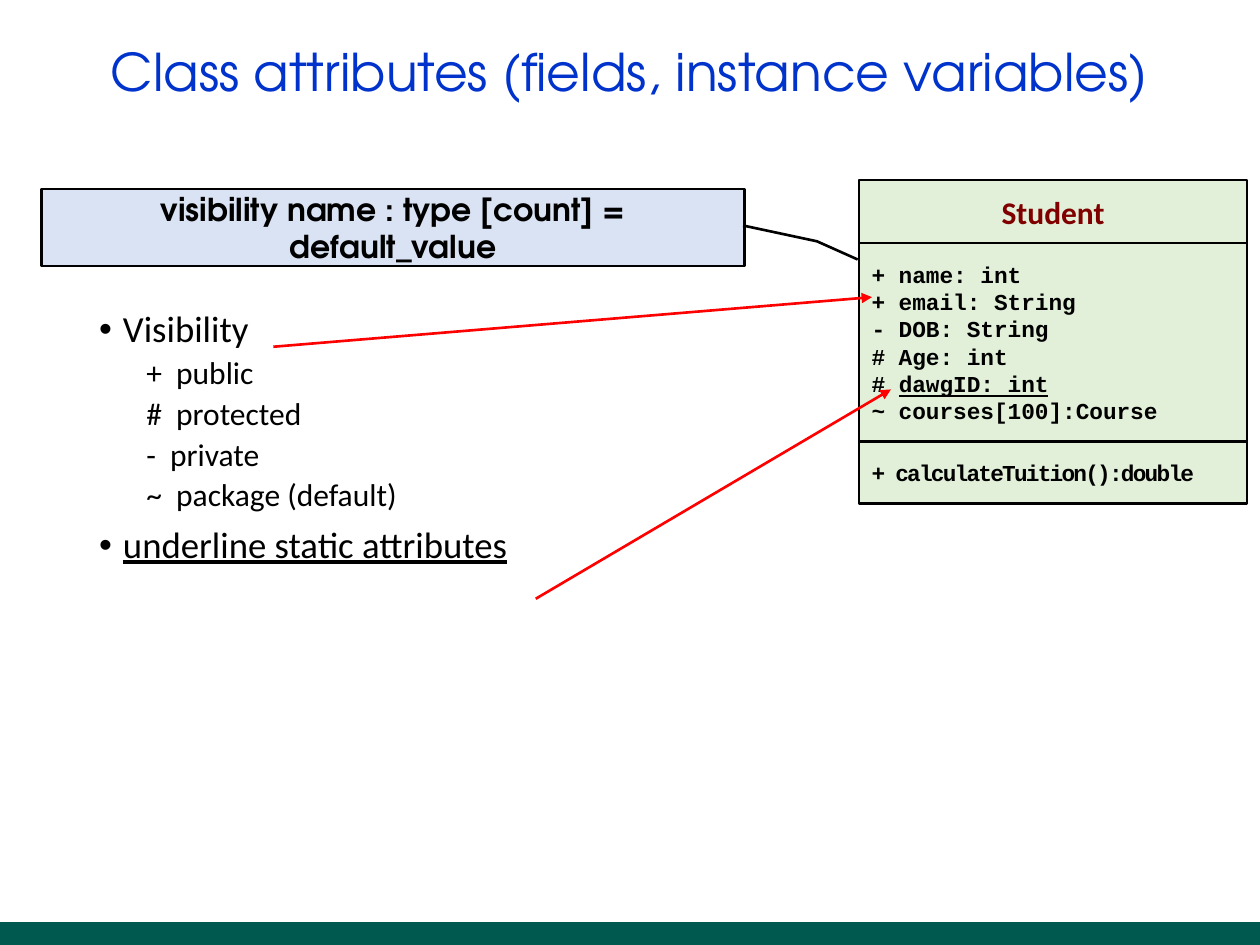
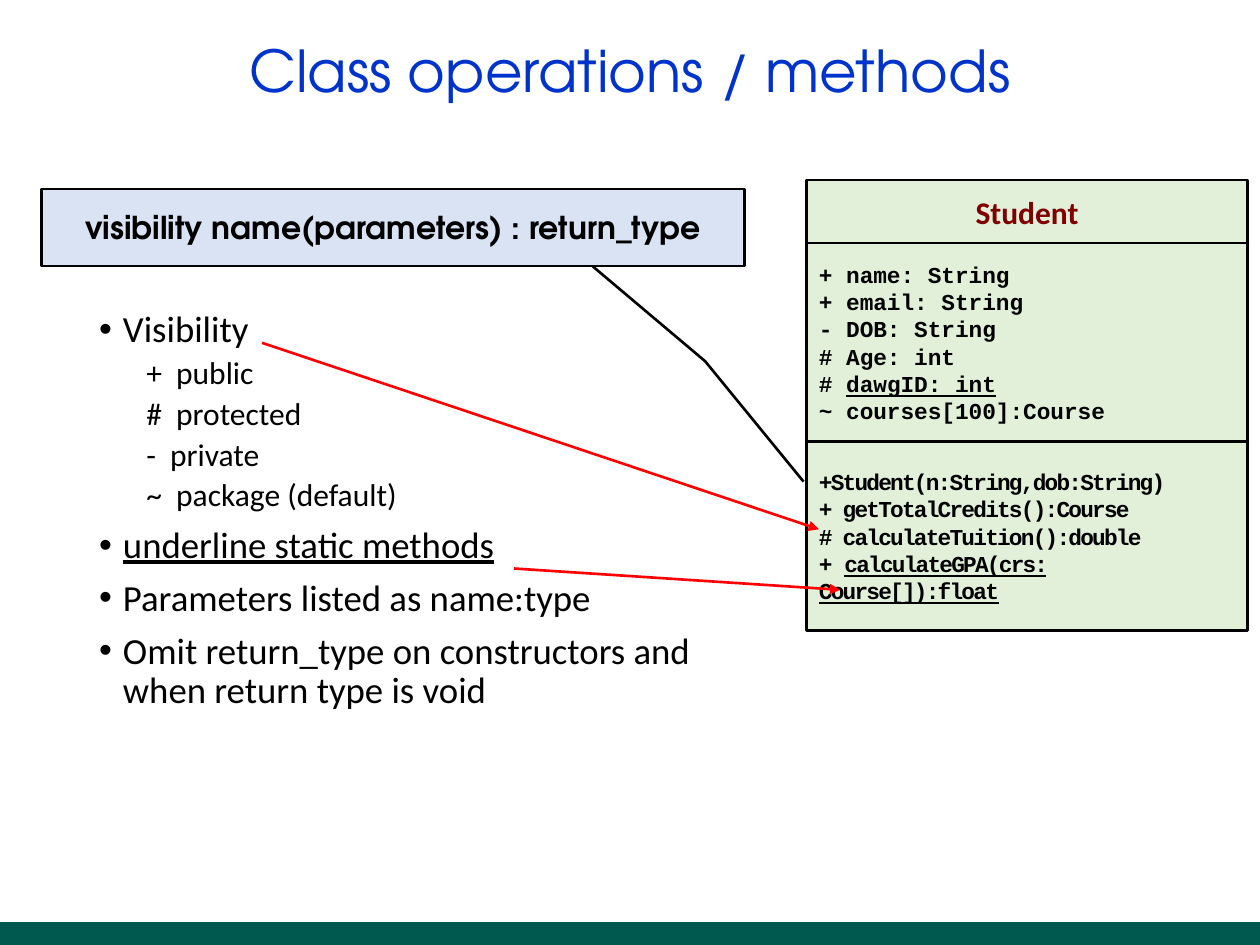
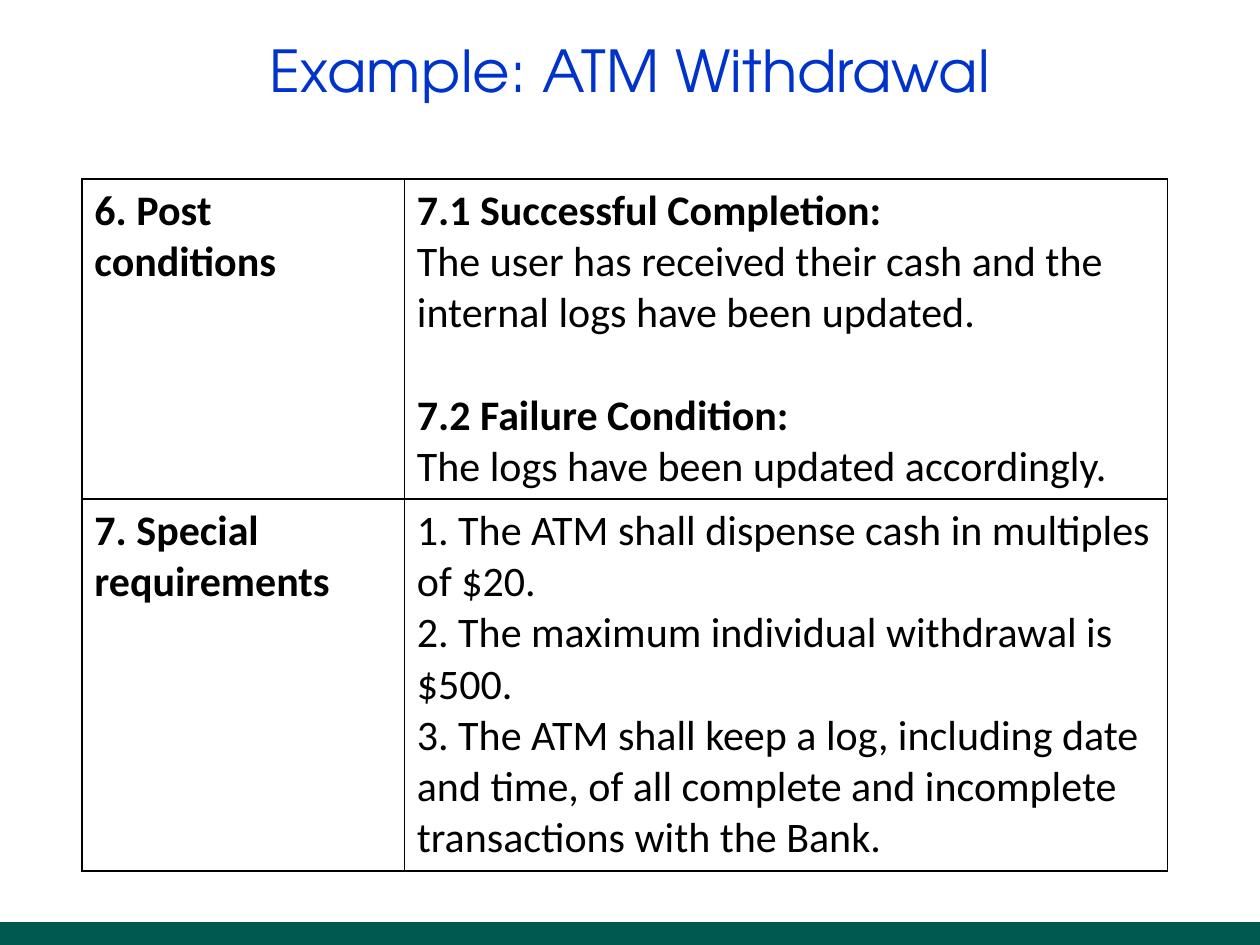
from dataclasses import dataclass

from lxml.etree import SubElement
from pptx import Presentation
from pptx.dml.color import RGBColor
from pptx.enum.shapes import MSO_CONNECTOR as Connector, MSO_SHAPE as Preset
from pptx.enum.text import MSO_ANCHOR as Anchor, MSO_AUTO_SIZE as AutoSize, PP_ALIGN as Align
from pptx.oxml.ns import qn
from pptx.util import Cm, Pt


# Shared look
@dataclass(frozen=True)
class Theme:
    band: str = "00594F"
    title: str = "0033CC"
    text: str = "000000"
    class_name: str = "800000"
    class_fill: str = "E2F0D9"
    callout_fill: str = "DAE3F3"
    arrow: str = "FF0000"
    heading_font: str = "TeX Gyre Adventor"
    body_font: str = "Calibri"
    code_font: str = "Courier New"
    title_size: float = 33
    long_title_size: float = 29.7
    table_size: float = 24
    bullet_size: float = 21
    label_size: float = 18
    code_size: float = 13
    line_width: float = 1.5
    border_width: float = 1
    line_spacing: float = 0.9


THEME = Theme()


@dataclass(frozen=True)
class Style:
    font: str
    size: float
    color: str = THEME.text
    bold: bool = False
    tracking: float = 0


BULLET = Style(THEME.body_font, THEME.bullet_size)
SUB_BULLET = Style(THEME.body_font, THEME.label_size)
CLASS_NAME = Style(THEME.body_font, THEME.label_size, THEME.class_name, True)
FIELD = Style(THEME.code_font, THEME.code_size, bold=True)
METHOD = Style(THEME.code_font, THEME.code_size, bold=True, tracking=-1)
SYNTAX = Style(THEME.heading_font, THEME.label_size, bold=True)
CELL = Style(THEME.body_font, THEME.table_size)
CELL_HEADING = Style(THEME.body_font, THEME.table_size, bold=True)


# Repeated elements, lengths in centimetres
@dataclass(frozen=True)
class Arrow:
    start: tuple[float, float]
    end: tuple[float, float]


@dataclass(frozen=True)
class ClassBox:
    left: float
    width: float
    fields: list[str]
    methods: list[str]
    methods_height: float


@dataclass(frozen=True)
class Callout:
    text: str
    pointer: tuple[float, ...]


@dataclass(frozen=True)
class ClassPage:
    title: str
    title_size: float
    bullets: list[str]
    class_box: ClassBox
    arrows: list[Arrow]
    callout: Callout


# Text between asterisks is underlined
VISIBILITY = ["+  public", "#  protected", "-  private", "~  package (default)"]
OTHER_FIELDS = ["+ email: String", "- DOB: String", "# Age: int",
                "# *dawgID: int*", "~ courses[100]:Course"]

CLASS_PAGES = [
    ClassPage(
        "Class attributes (fields, instance variables)", THEME.long_title_size,
        ["*underline static attributes*"],
        ClassBox(17.32, 7.82, ["+ name: int", *OTHER_FIELDS],
                 ["+ calculateTuition():double"], 1.25),
        [Arrow((5.51, 6.99), (17.58, 5.99)), Arrow((10.8, 12.07), (17.96, 7.85))],
        Callout("visibility name : type [count] = default_value",
                (0.476, 0.998, 0.681, 1.103, 0.918, 1.161)),
    ),
    ClassPage(
        "Class operations / methods", THEME.title_size,
        ["*underline static methods*", "Parameters listed as name:type",
         "Omit return_type on constructors and when return type is void"],
        ClassBox(16.26, 8.89, ["+ name: String", *OTHER_FIELDS],
                 ["+Student(n:String,dob:String)", "+ getTotalCredits():Course",
                  "# calculateTuition():double", "+ *calculateGPA(crs: Course[]):float*"], 3.81),
        [Arrow((5.28, 6.91), (16.51, 10.67)), Arrow((10.36, 11.46), (16.94, 11.89))],
        Callout("visibility name(parameters) : return_type",
                (1.007, 0.784, 2.241, 0.944, 3.807, 1.084)),
    ),
]

USE_CASE_ROWS = [
    ("6. Post conditions", 6.45, [
        ("7.1 Successful Completion:", CELL_HEADING),
        ("The user has received their cash and the internal logs have been updated.", CELL),
        ("7.2 Failure Condition:", CELL_HEADING),
        ("The logs have been updated accordingly.", CELL)]),
    ("7. Special requirements", 7.49, [
        ("1. The ATM shall dispense cash in multiples of $20.", CELL),
        ("2. The maximum individual withdrawal is $500.", CELL),
        ("3. The ATM shall keep a log, including date and time, of all complete and "
         "incomplete transactions with the Bank.", CELL)]),
]


# Text helpers
def format_span(span, style: Style) -> None:
    span.font.name = style.font
    span.font.size = Pt(style.size)
    span.font.bold = style.bold
    span.font.color.rgb = RGBColor.from_string(style.color)
    if style.tracking:
        span.font._element.set("spc", str(round(style.tracking * 100)))


def write_lines(frame, lines: list[tuple[str, Style]], align=Align.LEFT) -> list:
    frame.word_wrap = True
    frame.text = "\n".join(text.replace("*", "") for text, _ in lines)
    for para, (text, style) in zip(frame.paragraphs, lines):
        para.alignment = align
        if "*" in text:
            para.clear()
            for index, part in enumerate(text.split("*")):
                if part:
                    span = para.add_run()
                    span.text = part
                    span.font.underline = index % 2 == 1
        for span in para.runs:
            format_span(span, style)
    return list(frame.paragraphs)


# Shape helpers
def add_box(shapes, preset, left: float, top: float, width: float, height: float, fill: str,
            outlined: bool = True):
    box = shapes.add_shape(preset, Cm(left), Cm(top), Cm(width), Cm(height))
    box.shadow.inherit = False
    box.fill.solid()
    box.fill.fore_color.rgb = RGBColor.from_string(fill)
    if outlined:
        box.line.color.rgb = RGBColor.from_string(THEME.text)
        box.line.width = Pt(THEME.line_width)
    else:
        box.line.fill.background()
    box.text_frame.vertical_anchor = Anchor.MIDDLE
    return box


def add_page(deck, title: str, size: float):
    page = deck.slides.add_slide(deck.slide_layouts[5])
    box = page.shapes.title
    box.left, box.top, box.width, box.height = Cm(1.75), Cm(0.3), Cm(21.9), Cm(2.39)
    frame = box.text_frame
    frame.auto_size = AutoSize.NONE
    frame.vertical_anchor = Anchor.MIDDLE
    style = Style(THEME.heading_font, size, THEME.title)
    write_lines(frame, [(title, style)], Align.CENTER)[0].line_spacing = THEME.line_spacing
    add_box(page.shapes, Preset.RECTANGLE, 0, 18.59, 25.4, 0.46, THEME.band, outlined=False)
    return page


def add_bullets(page, bullets: list[str]) -> None:
    box = page.shapes.add_textbox(Cm(1.75), Cm(6.15), Cm(13.92), Cm(11.02))
    lines = [("Visibility", BULLET), *((text, SUB_BULLET) for text in VISIBILITY),
             *((text, BULLET) for text in bullets)]
    paras = write_lines(box.text_frame, lines)
    for index, (para, (_, style)) in enumerate(zip(paras, lines)):
        properties = para._p.get_or_add_pPr()
        if style is BULLET:
            properties.set("marL", str(Cm(0.48)))
            properties.set("indent", str(-Cm(0.48)))
            SubElement(properties, qn("a:buFont"), typeface="Arial")
            SubElement(properties, qn("a:buChar"), char="•")
        else:
            para.level = 1
            properties.set("marL", str(Cm(0.95)))
            properties.set("indent", "0")
        para.line_spacing = THEME.line_spacing
        if index:
            para.space_before = Pt(7.5 if style is BULLET else 3.8)


def add_class_box(page, item: ClassBox) -> None:
    group = page.shapes.add_group_shape()
    top = 3.63
    for lines, style, height, align in (
            (["Student"], CLASS_NAME, 1.27, Align.CENTER),
            (item.fields, FIELD, 4, Align.LEFT),
            (item.methods, METHOD, item.methods_height, Align.LEFT)):
        box = add_box(group.shapes, Preset.FLOWCHART_PROCESS, item.left, top, item.width,
                      height, THEME.class_fill)
        write_lines(box.text_frame, [(text, style) for text in lines], align)
        top += height


def add_arrow(page, item: Arrow) -> None:
    arrow = page.shapes.add_connector(
        Connector.STRAIGHT, *(Cm(value) for value in item.start + item.end))
    arrow.line.color.rgb = RGBColor.from_string(THEME.arrow)
    arrow.line.width = Pt(THEME.line_width)
    SubElement(arrow.line._get_or_add_ln(), qn("a:tailEnd"), type="triangle")
    SubElement(arrow._element.spPr, qn("a:effectLst"))


def add_callout(page, item: Callout) -> None:
    box = add_box(page.shapes, Preset.LINE_CALLOUT_2, 0.84, 3.81, 14.17, 1.55,
                  THEME.callout_fill)
    for index, value in enumerate(item.pointer):
        box.adjustments[index] = value
    write_lines(box.text_frame, [(item.text, SYNTAX)], Align.CENTER)


def add_borders(cell) -> None:
    properties = cell._tc.get_or_add_tcPr()
    for side in ("lnL", "lnR", "lnT", "lnB"):
        border = SubElement(properties, qn(f"a:{side}"), w=str(Pt(THEME.border_width)))
        fill = SubElement(border, qn("a:solidFill"))
        SubElement(fill, qn("a:srgbClr"), val=THEME.text)


def add_use_case_table(page) -> None:
    widths = (6.5, 15.39)
    height = sum(row_height for _, row_height, _ in USE_CASE_ROWS)
    table = page.shapes.add_table(len(USE_CASE_ROWS), len(widths), Cm(1.65), Cm(3.61),
                                  Cm(sum(widths)), Cm(height)).table
    table.first_row = table.horz_banding = False
    for column, width in zip(table.columns, widths):
        column.width = Cm(width)
    for row, (heading, row_height, details) in zip(table.rows, USE_CASE_ROWS):
        row.height = Cm(row_height)
        for cell, lines in zip(row.cells, ([(heading, CELL_HEADING)], details)):
            add_borders(cell)
            cell.fill.background()
            paras = write_lines(cell.text_frame, lines)
            # A heading further down the cell stands one line apart
            for para, (_, style) in list(zip(paras, lines))[1:]:
                if style is CELL_HEADING:
                    para.space_before = Pt(29.3)


def main() -> None:
    deck = Presentation()
    deck.slide_width, deck.slide_height = Cm(25.4), Cm(19.05)

    # Class diagram pages
    for item in CLASS_PAGES:
        page = add_page(deck, item.title, item.title_size)
        add_bullets(page, item.bullets)
        add_class_box(page, item.class_box)
        for arrow in item.arrows:
            add_arrow(page, arrow)
        add_callout(page, item.callout)

    # Use case page
    add_use_case_table(add_page(deck, "Example: ATM Withdrawal", THEME.title_size))
    deck.save("out.pptx")


if __name__ == "__main__":
    main()
